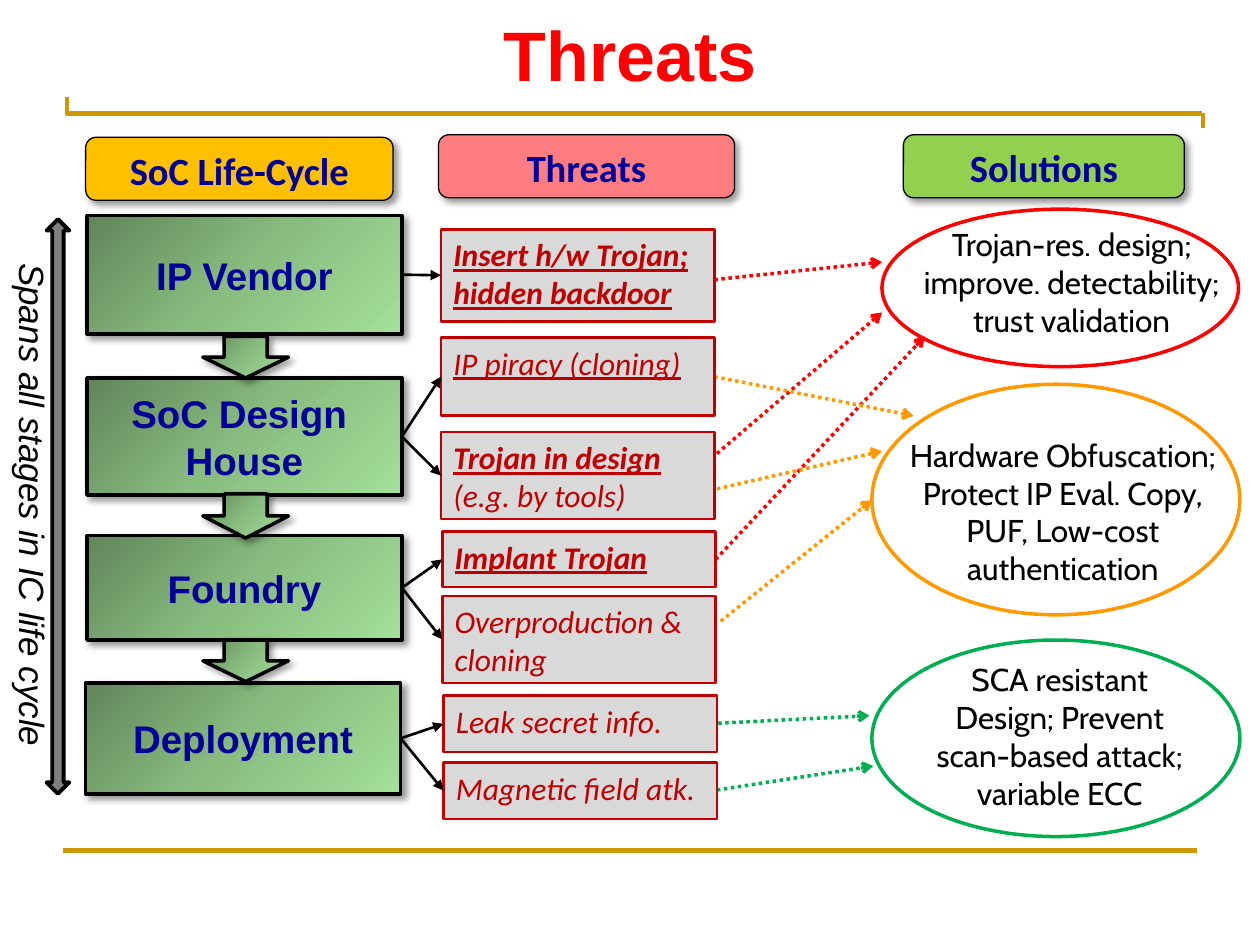
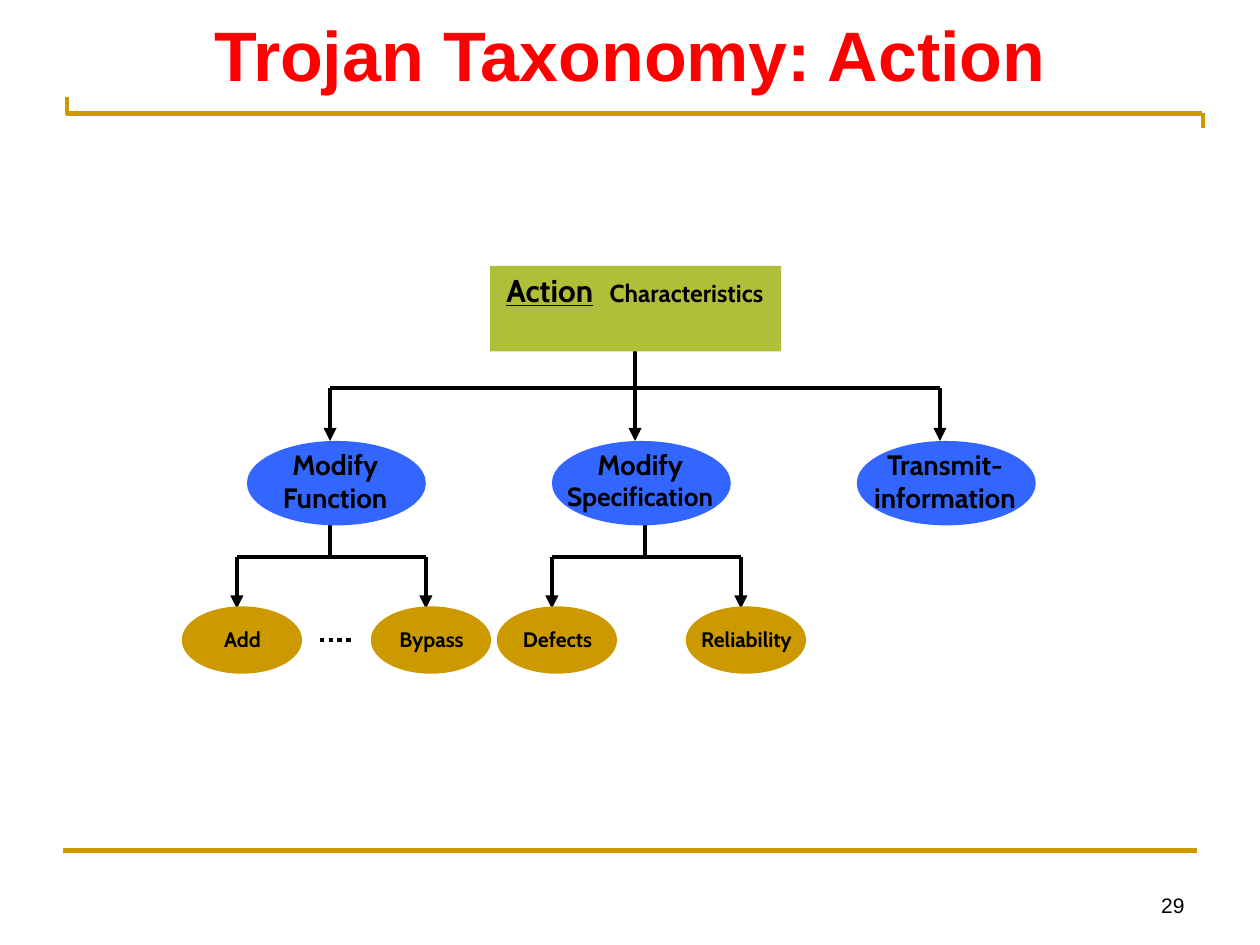
from dataclasses import dataclass, replace
from typing import NamedTuple, Optional

from lxml.etree import SubElement
from pptx import Presentation
from pptx.dml.color import RGBColor
from pptx.enum.dml import MSO_LINE
from pptx.enum.shapes import MSO_CONNECTOR, MSO_SHAPE
from pptx.enum.text import MSO_ANCHOR, PP_ALIGN
from pptx.oxml.ns import qn
from pptx.util import Inches, Pt


# Theme: colours, fonts and type sizes
@dataclass(frozen=True)
class Theme:
    red: str = "FF0000"
    gold: str = "CC9900"
    navy: str = "000099"
    black: str = "000000"
    orange: str = "FF9900"
    green: str = "00B050"
    brick: str = "C00000"
    pale: str = "D9D9D9"
    grey: str = "808080"
    blue: str = "3366FF"
    olive: str = "AFBF39"
    amber: str = "FFC000"
    pink: str = "FF7C80"
    lime: str = "92D050"
    blend: tuple = ((0, "61855A"), (50, "89BD80"), (100, "A3E098"))
    sans: str = "Arial"
    body: str = "Calibri"
    round: str = "Cabin"
    title: float = 40
    head: float = 22
    side: float = 20
    text: float = 18
    node: float = 16
    tight: float = 15
    note: float = 14
    small: float = 12


T = Theme()


class Box(NamedTuple):
    x: float
    y: float
    w: float
    h: float

    @property
    def mid(self) -> float:
        return self.y + self.h / 2


@dataclass(frozen=True)
class Style:
    font: str
    size: float
    color: str = T.black
    bold: bool = False
    ital: bool = False
    under: bool = False


@dataclass(frozen=True)
class Threat:
    box: Box
    text: str
    bold: bool = False
    under: bool = False
    tail: str = ""


@dataclass(frozen=True)
class Stage:
    box: Box
    text: str
    threats: tuple


@dataclass(frozen=True)
class Cure:
    color: str
    oval: Box
    area: Box
    text: str
    links: tuple


# Text helpers
def format_run(run, style: Style) -> None:
    font = run.font
    font.name, font.size = style.font, Pt(style.size)
    font.bold, font.italic, font.underline = style.bold, style.ital, style.under
    font.color.rgb = RGBColor.from_string(style.color)


def write(shape, text: str, style: Style, align=PP_ALIGN.CENTER,
          anchor=MSO_ANCHOR.TOP, wrap: bool = True):
    frame = shape.text_frame
    frame.text = text
    frame.word_wrap, frame.vertical_anchor = wrap, anchor
    para = frame.paragraphs[0]
    para.alignment = align
    for run in para.runs:
        format_run(run, style)
    return para


def extend(para, text: str, style: Style) -> None:
    run = para.add_run()
    run.text = text
    format_run(run, style)


def label(slide, box: Box, text: str, style: Style, **opts):
    area = slide.shapes.add_textbox(*map(Inches, box))
    return write(area, text, style, **opts)


# Shape helpers
def blend(fill) -> None:
    fill.gradient()
    fill.gradient_angle = 315
    stops = fill._xPr.find(".//" + qn("a:gsLst"))
    for stop in list(stops):
        stops.remove(stop)
    for place, color in T.blend:
        stop = SubElement(stops, qn("a:gs"), pos=str(place * 1000))
        SubElement(stop, qn("a:srgbClr"), val=color)


def cast(shape) -> None:
    effects = shape._element.spPr.find(qn("a:effectLst"))
    shade = SubElement(effects, qn("a:outerShdw"), blurRad="50800", dist="38100",
                       dir="2700000", algn="tl", rotWithShape="0")
    color = SubElement(shade, qn("a:srgbClr"), val=T.black)
    SubElement(color, qn("a:alpha"), val="40000")


def draw(slide, kind, box: Box, fill=None, line: Optional[str] = None,
         width: float = 2, shadow: bool = False):
    shape = slide.shapes.add_shape(kind, *map(Inches, box))
    shape.shadow.inherit = False
    if fill is None:
        shape.fill.background()
    elif fill == T.blend:
        blend(shape.fill)
    else:
        shape.fill.solid()
        shape.fill.fore_color.rgb = RGBColor.from_string(fill)
    if line is None:
        shape.line.fill.background()
    else:
        shape.line.color.rgb = RGBColor.from_string(line)
        shape.line.width = Pt(width)
    if shadow:
        cast(shape)
    return shape


def join(slide, ends: tuple, color: str = T.black, width: float = 2.5,
         head: str = "", dots: bool = False) -> None:
    link = slide.shapes.add_connector(MSO_CONNECTOR.STRAIGHT, *map(Inches, ends))
    link.line.color.rgb = RGBColor.from_string(color)
    link.line.width = Pt(width)
    if dots:
        link.line.dash_style = MSO_LINE.ROUND_DOT
    if head:
        SubElement(link.line._get_or_add_ln(), qn("a:tailEnd"), type=head)
    SubElement(link._element.spPr, qn("a:effectLst"))


# Shared frame: gold rules and title
def add_page(deck, title: str):
    slide = deck.slides.add_slide(deck.slide_layouts[6])
    path = slide.shapes.build_freeform(Inches(0.53), Inches(0.77), scale=1.0)
    path.add_line_segments([(Inches(0.53), Inches(0.9)), (Inches(9.54), Inches(0.9))],
                           close=False)
    rule = path.convert_to_shape()
    rule.shadow.inherit = False
    rule.fill.background()
    rule.line.color.rgb = RGBColor.from_string(T.gold)
    rule.line.width = Pt(2.5)
    join(slide, (0.5, 6.75, 9.5, 6.75), T.gold)
    join(slide, (9.55, 0.9, 9.55, 1.02), T.gold)
    label(slide, Box(0, 0.04, 10, 0.85), title, Style(T.sans, T.title, T.red, bold=True))
    return slide


# Content of the threats slide
HEADS = (
    (Box(0.68, 1.09, 2.44, 0.5), "SoC Life-Cycle", T.amber),
    (Box(3.48, 1.07, 2.35, 0.5), "Threats", T.pink),
    (Box(7.17, 1.07, 2.23, 0.5), "Solutions", T.lime),
)
STAGES = (
    Stage(Box(0.69, 1.71, 2.5, 0.94), "IP Vendor", (
        Threat(Box(3.5, 1.82, 2.17, 0.73), "Insert h/w Trojan; hidden backdoor", True, True),)),
    Stage(Box(0.69, 3, 2.5, 0.93), "SoC Design \vHouse", (
        Threat(Box(3.5, 2.68, 2.17, 0.62), "IP piracy (cloning)", under=True),
        Threat(Box(3.5, 3.43, 2.17, 0.69), "Trojan in design ", True, True, "(e.g. by tools)"))),
    Stage(Box(0.69, 4.25, 2.5, 0.83), "Foundry", (
        Threat(Box(3.51, 4.22, 2.17, 0.44), "Implant Trojan", True, True),
        Threat(Box(3.51, 4.73, 2.17, 0.69), "Overproduction & cloning"))),
    Stage(Box(0.68, 5.42, 2.5, 0.88), "Deployment", (
        Threat(Box(3.52, 5.52, 2.17, 0.45), "Leak secret info."),
        Threat(Box(3.52, 6.05, 2.17, 0.45), "Magnetic field atk."))),
)
DROPS = ((2.67, 0.33), (3.92, 0.35), (5.08, 0.33))
CURES = (
    Cure(T.red, Box(7, 1.66, 2.83, 1.25), Box(7.17, 1.74, 2.67, 1.01),
         "Trojan-res. design; improve. detectability; trust validation",
         ((5.67, 2.22, 7, 2.08), (5.68, 4.44, 7.34, 2.67), (5.69, 3.6, 7, 2.48))),
    Cure(T.orange, Box(6.92, 3.05, 2.92, 1.83), Box(7.06, 3.41, 2.75, 1.62),
         "Hardware Obfuscation; Protect IP Eval. Copy, PUF, Low-cost authentication",
         ((5.67, 2.99, 7.25, 3.3), (5.69, 3.88, 7, 3.58), (5.72, 4.93, 6.92, 3.97))),
    Cure(T.green, Box(6.92, 5.08, 2.92, 1.56), Box(7.25, 5.19, 2.32, 1.31),
         "SCA resistant Design; Prevent scan-based attack; variable ECC",
         ((5.7, 5.74, 6.9, 5.68), (5.69, 6.27, 6.93, 6.08))),
)


def add_threat(slide, threat: Threat) -> None:
    style = Style(T.body, T.text, T.brick, threat.bold, True, threat.under)
    shape = draw(slide, MSO_SHAPE.RECTANGLE, threat.box, T.pale, T.brick, 1.5)
    para = write(shape, threat.text, style, PP_ALIGN.LEFT)
    if threat.tail:
        extend(para, threat.tail, replace(style, bold=False, under=False))


def build_threats(deck) -> None:
    slide = add_page(deck, "Threats")
    # Life-cycle stages and block arrows
    for stage in STAGES:
        shape = draw(slide, MSO_SHAPE.RECTANGLE, stage.box, T.blend, T.black, shadow=True)
        write(shape, stage.text, Style(T.sans, T.head, T.navy, bold=True),
              anchor=MSO_ANCHOR.MIDDLE, wrap=False)
    for top, high in DROPS:
        draw(slide, MSO_SHAPE.DOWN_ARROW, Box(1.61, top, 0.68, high), T.blend, T.black,
             shadow=True)
    # Column heads
    for box, text, color in HEADS:
        shape = draw(slide, MSO_SHAPE.ROUNDED_RECTANGLE, box, color, T.black, 0.75, True)
        write(shape, text, Style(T.body, T.head, T.navy, bold=True))
    # Solutions with their dotted links
    for cure in CURES:
        label(slide, cure.area, cure.text, Style(T.round, T.text))
        draw(slide, MSO_SHAPE.OVAL, cure.oval, line=cure.color)
        for ends in cure.links:
            join(slide, ends, cure.color, 2, "arrow", dots=True)
    # Time span at the left
    draw(slide, MSO_SHAPE.UP_DOWN_ARROW, Box(0.37, 1.74, 0.18, 4.56), T.grey, T.black, 2.25)
    span = slide.shapes.add_textbox(*map(Inches, Box(0, 1.99, 0.48, 4.17)))
    write(span, "Spans all stages in IC life cycle", Style(T.sans, T.side, ital=True))
    span.text_frame._txBody.bodyPr.set("vert", "eaVert")
    # Threats, each linked to its stage
    for stage in STAGES:
        for threat in stage.threats:
            add_threat(slide, threat)
            join(slide, (stage.box.x + stage.box.w, stage.box.mid,
                         threat.box.x, threat.box.mid), width=1.5, head="triangle")


# Taxonomy slide
LEAVES = ((1.88, "Add"), (3.38, "Bypass"), (4.38, "Defects"), (5.88, "Reliability"))
NODES = ((2.62, "Modify Function", ""), (5.04, "Modify ", "Specification"),
         (7.46, "Transmit-information", ""))


def branch(slide, stem: float, top: float, bar: float, drops: tuple, end: float) -> None:
    join(slide, (stem, top, stem, bar))
    join(slide, (drops[0], bar, drops[-1], bar))
    for x in drops:
        join(slide, (x, bar, x, end), head="triangle")


def build_tree(deck) -> None:
    slide = add_page(deck, "Trojan Taxonomy: Action")
    # Branches
    leaves = tuple(x for x, _ in LEAVES)
    branch(slide, 5.04, 2.75, 3.08, tuple(x for x, *_ in NODES), 3.5)
    branch(slide, 2.62, 4.17, 4.42, leaves[:2], 4.83)
    branch(slide, 5.12, 4.17, 4.42, leaves[2:], 4.83)
    join(slide, (2.54, 5.08, 2.79, 5.08), dots=True)
    # Nodes
    style = Style(T.round, T.node, bold=True)
    for x, text, tail in NODES:
        draw(slide, MSO_SHAPE.OVAL, Box(x - 0.66, 3.5, 1.42, 0.67), T.blue)
        para = label(slide, Box(x - 0.75, 3.5, 1.58, 0.64), text, style)
        if tail:
            extend(para, tail, replace(style, size=T.tight))
    for x, text in LEAVES:
        draw(slide, MSO_SHAPE.OVAL, Box(x - 0.42, 4.83, 0.92, 0.5), T.gold, T.gold, 2.5)
        label(slide, Box(x - 0.58, 4.92, 1.25, 0.3), text, replace(style, size=T.small))
    # Root, with a tab between its two parts
    draw(slide, MSO_SHAPE.RECTANGLE, Box(3.89, 2.11, 2.31, 0.68), T.olive)
    root = slide.shapes.add_textbox(*map(Inches, Box(3.92, 2.1, 2.28, 0.63)))
    root.text_frame.margin_right = 0
    para = write(root, "Action", replace(style, size=T.text, under=True), PP_ALIGN.LEFT)
    tabs = SubElement(para._p.get_or_add_pPr(), qn("a:tabLst"))
    SubElement(tabs, qn("a:tab"), pos=str(Inches(0.82)), algn="l")
    extend(para, "\tCharacteristics", replace(style, size=T.note))
    # Page number
    label(slide, Box(7.17, 6.83, 2.33, 0.5), "29", Style(T.sans, T.small),
          align=PP_ALIGN.RIGHT, anchor=MSO_ANCHOR.BOTTOM)


def main() -> None:
    deck = Presentation()
    deck.slide_width, deck.slide_height = Inches(10), Inches(7.5)
    build_threats(deck)
    build_tree(deck)
    deck.save("out.pptx")


if __name__ == "__main__":
    main()
